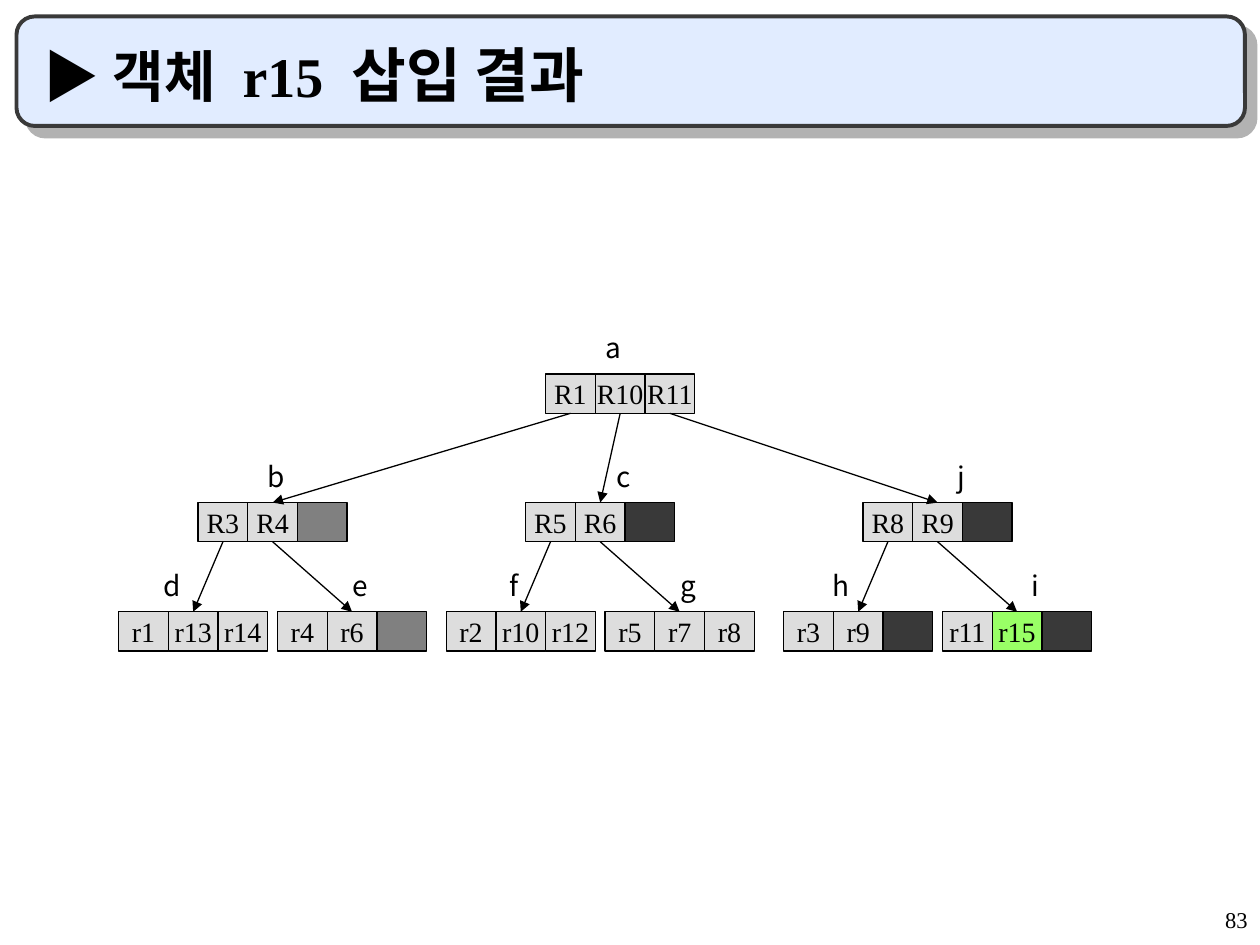
from lxml import etree
from pptx import Presentation
from pptx.dml.color import RGBColor
from pptx.enum.shapes import MSO_CONNECTOR, MSO_SHAPE
from pptx.enum.text import MSO_ANCHOR, PP_ALIGN
from pptx.oxml.ns import qn
from pptx.util import Pt

RECTANGLE, ROUNDED = MSO_SHAPE.RECTANGLE, MSO_SHAPE.ROUNDED_RECTANGLE
STRAIGHT = MSO_CONNECTOR.STRAIGHT
MIDDLE, BOTTOM = MSO_ANCHOR.MIDDLE, MSO_ANCHOR.BOTTOM
CENTER, RIGHT = PP_ALIGN.CENTER, PP_ALIGN.RIGHT

SERIF, SANS = "Times New Roman", "Noto Sans CJK KR"
BLACK, LIGHT, GRAY, DARK, GREEN = "000000", "DDDDDD", "808080", "393939", "99FF66"
CELL_WIDTH, CELL_HEIGHT = 28.4, 22.4
LABEL_RISE, LABEL_HEIGHT, LABEL_INDENT = 28.4, 26.6, 10.8
CHILD_OFFSET = 45.4
ROOT_TOP, BRANCH_TOP, LEAF_TOP = 213.8, 287.2, 349.6

# Each node is (label, label shift, entries, colour of empty cells).
ROOT = ("a", -5.8, ["R1", "R10", "R11"], LIGHT)
BRANCHES = [
    (113.2, ("b", 0, ["R3", "R4", ""], GRAY),
     [("d", -13.7, ["r1", "r13", "r14"], LIGHT), ("e", 2.9, ["r4", "r6", ""], GRAY)]),
    (300.4, ("c", 11.5, ["R5", "R6", ""], DARK),
     [("f", -5.8, ["r2", "r10", "r12"], LIGHT), ("g", 2.9, ["r5", "r7", "r8"], LIGHT)]),
    (493.2, ("j", 11.5, ["R8", "R9", ""], DARK),
     [("h", -11.5, ["r3", "r9", ""], DARK), ("i", 8.6, ["r11", "r15", ""], DARK)]),
]


def color(hex_text):
    """Turn a hex string into a colour."""
    return RGBColor.from_string(hex_text)


def add_span(para, text, size, font=SERIF, bold=False, spacing=0):
    """Add one run, with its Latin and East Asian fonts."""
    span = para.add_run()
    span.text = text
    span.font.size = Pt(size)
    span.font.name = font
    span.font.bold = bold
    span.font.color.rgb = color(BLACK)
    properties = span.font._element
    etree.SubElement(properties, qn("a:ea"), typeface=SANS)
    if spacing:
        properties.set("spc", str(spacing * 100))


def add_text_box(page, left, top, width, height):
    """Add a wrapping text box and return its frame."""
    frame = page.shapes.add_textbox(Pt(left), Pt(top), Pt(width), Pt(height)).text_frame
    frame.word_wrap = True
    return frame


def style_shape(shape, fill, line, weight):
    """Set fill and outline and switch off the theme shadow."""
    shape.shadow.inherit = False
    shape.fill.solid()
    shape.fill.fore_color.rgb = color(fill)
    shape.line.color.rgb = color(line)
    shape.line.width = Pt(weight)


def add_banner(page, left, top, width, height):
    """Draw the title banner with its hard shadow and heading."""
    banner = page.shapes.add_shape(ROUNDED, Pt(left), Pt(top), Pt(width), Pt(height))
    style_shape(banner, "E1ECFF", DARK, 2.25)
    effects = banner._element.spPr.find(qn("a:effectLst"))
    shadow = etree.SubElement(effects, qn("a:outerShdw"), blurRad="0",
                              dist=str(Pt(8.5)), dir="2700000", algn="ctr", rotWithShape="0")
    etree.SubElement(shadow, qn("a:srgbClr"), val="B2B2B2")

    frame = add_text_box(page, left + 8.6, top + 8.6, width - 24, 48.2)
    frame.vertical_anchor = BOTTOM
    para = frame.paragraphs[0]
    gap = 8
    for text, size, spacing in [("▶ 객체", 32, 0), (" ", 32, gap), ("r15", 32, 0),
                                (" ", 32, gap), ("삽입 결과", 34, 0)]:
        add_span(para, text, size, bold=True, spacing=spacing)


def add_node(page, left, top, node):
    """Draw one tree node: a row of cells with its label above."""
    label, shift, entries, empty_fill = node
    group = page.shapes.add_group_shape()
    for index, entry in enumerate(entries):
        cell = group.shapes.add_shape(RECTANGLE, Pt(left + index * CELL_WIDTH), Pt(top),
                                      Pt(CELL_WIDTH), Pt(CELL_HEIGHT))
        fill = GREEN if entry == "r15" else LIGHT if entry else empty_fill
        style_shape(cell, fill, BLACK, 0.75)
        if entry:
            frame = cell.text_frame
            frame.word_wrap = False
            frame.vertical_anchor = MIDDLE
            frame.paragraphs[0].alignment = CENTER
            add_span(frame.paragraphs[0], entry, 16)

    frame = add_text_box(page, left + shift, top - LABEL_RISE, 3 * CELL_WIDTH, LABEL_HEIGHT)
    frame.margin_left = Pt(LABEL_INDENT)
    frame.paragraphs[0].alignment = CENTER
    add_span(frame.paragraphs[0], label, 16, SANS)


def add_link(page, parent_left, parent_top, index, child_left, child_top):
    """Draw an arrow from a parent cell to the middle of a child node."""
    link = page.shapes.add_connector(
        STRAIGHT, Pt(parent_left + (index + 0.5) * CELL_WIDTH), Pt(parent_top + CELL_HEIGHT),
        Pt(child_left + 1.5 * CELL_WIDTH), Pt(child_top))
    link.line.color.rgb = color(BLACK)
    link.line.width = Pt(0.75)
    etree.SubElement(link.line._get_or_add_ln(), qn("a:tailEnd"), type="triangle")
    etree.SubElement(link._element.spPr, qn("a:effectLst"))


def add_tree(page, root_left):
    """Draw the three levels of the tree and the arrows between them."""
    add_node(page, root_left, ROOT_TOP, ROOT)
    for number, (left, branch, leaves) in enumerate(BRANCHES):
        add_node(page, left, BRANCH_TOP, branch)
        add_link(page, root_left, ROOT_TOP, number, left, BRANCH_TOP)
        for index, leaf in enumerate(leaves):
            leaf_left = left + (2 * index - 1) * CHILD_OFFSET
            add_node(page, leaf_left, LEAF_TOP, leaf)
            add_link(page, left, BRANCH_TOP, index, leaf_left, LEAF_TOP)


def add_page_number(page, left, top, width, height):
    """Write the page number in the corner."""
    para = add_text_box(page, left, top, width, height).paragraphs[0]
    para.alignment = RIGHT
    para.line_spacing = 0.9
    add_span(para, "83", 12.9)


def main():
    """Build the slide and save it."""
    deck = Presentation()
    deck.slide_width, deck.slide_height = Pt(720), Pt(540)
    page = deck.slides.add_slide(deck.slide_layouts[6])
    add_banner(page, 9.4, 9.4, 702, 62.6)
    add_tree(page, 311.8)
    add_page_number(page, 570, 516, 150, 24)
    deck.save("out.pptx")


if __name__ == "__main__":
    main()
